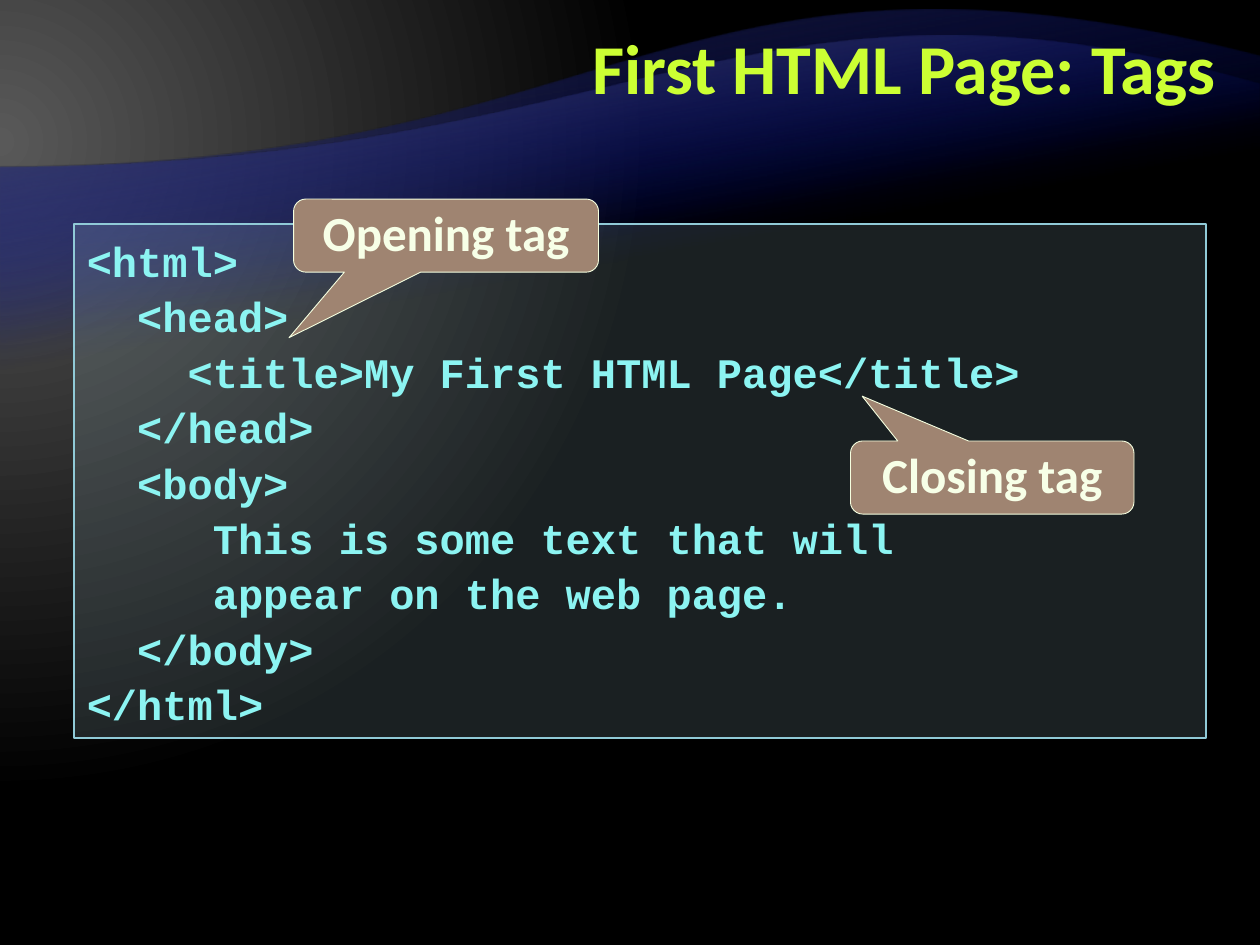
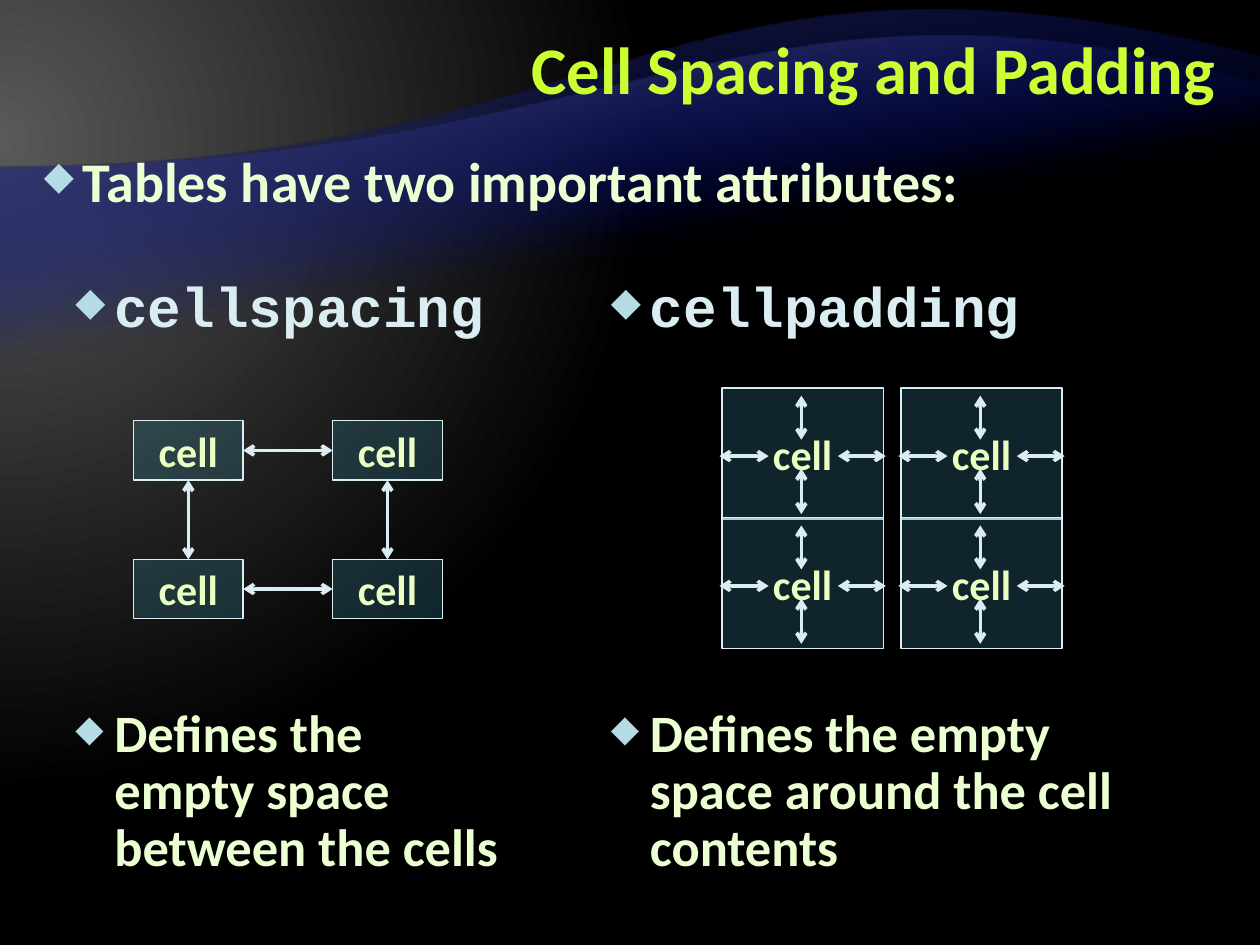
from dataclasses import dataclass

from lxml import etree
from pptx import Presentation
from pptx.dml.color import RGBColor
from pptx.enum.shapes import MSO_CONNECTOR, MSO_SHAPE
from pptx.enum.text import MSO_ANCHOR, MSO_AUTO_SIZE, PP_ALIGN
from pptx.oxml import parse_xml
from pptx.oxml.ns import nsdecls, qn
from pptx.util import Inches, Pt

RECTANGLE = MSO_SHAPE.RECTANGLE
CALLOUT = MSO_SHAPE.ROUNDED_RECTANGULAR_CALLOUT
STRAIGHT = MSO_CONNECTOR.STRAIGHT
TOP, MIDDLE = MSO_ANCHOR.TOP, MSO_ANCHOR.MIDDLE
LEFT, CENTER, RIGHT = PP_ALIGN.LEFT, PP_ALIGN.CENTER, PP_ALIGN.RIGHT
GROW = MSO_AUTO_SIZE.SHAPE_TO_FIT_TEXT


@dataclass(frozen=True)
class Theme:
    body_font: str = "Calibri"
    code_font: str = "Courier New"
    title: str = "CCFF33"
    body: str = "EBFFD2"
    code: str = "8CF4F2"
    code_fill: str = "B5DBE5"
    code_line: str = "90CAD7"
    callout_fill: str = "9F8471"
    callout_line: str = "F5FFE0"
    callout_text: str = "F7FFE7"
    bullet: str = "B5DBE5"
    pale: str = "DAEDF2"
    cell_fill: str = "337D8F"
    cell_text: str = "EBFFC2"
    glow: str = "595959"
    night: str = "000000"
    wave: str = "000D9E"
    wave_back: str = "262626"
    title_size: int = 40
    long_title_size: int = 38
    head_size: int = 32
    body_size: int = 30
    callout_size: int = 28
    small_size: int = 24


THEME = Theme()

WAVES = [
    {"bottom": 6.53, "curve": [(0, 1.33), (5, 1.33), (5.34, -0.75), (10, 0.45)],
     "edge": THEME.wave_back},
    {"bottom": 5.57, "curve": [(0, 1.33), (5, 1.33), (5.98, -0.49), (10, 0.67)],
     "edge": THEME.glow},
]
CURVE_STEPS = 60

CODE_LINES = [
    "<html>",
    "  <head>",
    "    <title>My First HTML Page</title>",
    "  </head>",
    "  <body>",
    "     This is some text that will",
    "     appear on the web page.",
    "  </body>",
    "</html>",
]
CALLOUTS = [
    ("Opening tag", (2.33, 1.58, 2.42, 0.58), (-0.515, 1.398, 0.167)),
    ("Closing tag", (6.75, 3.5, 2.25, 0.58), (-0.459, -1.115, 0.167)),
]

COLUMNS = [
    ("cellspacing", "Defines the empty space between the cells", (0.5, 2.17, 3.67, 5)),
    ("cellpadding", "Defines the empty space around the cell contents",
     (4.75, 2.17, 4.67, 4.83)),
]
DIAGRAM_GAP = 204
SPACING_GRID = {"left": 1.06, "top": 3.34, "width": 0.87, "height": 0.47,
                "step_x": 1.58, "step_y": 1.1}
PADDING_GRID = {"left": 5.73, "top": 3.08, "width": 1.28, "height": 1.04,
                "step_x": 1.42, "step_y": 1.03}
PADDING_INSETS = (0.39, 0.31)
PADDING_ARROWS = [
    (0.63, 0.64, 0.63, 1.0),
    (-0.02, 0.54, 0.37, 0.54),
    (0.92, 0.54, 1.3, 0.54),
    (0.63, 0.06, 0.63, 0.41),
]


def color(code):
    return RGBColor.from_string(code)


def inches(values):
    return [Inches(value) for value in values]


def set_gradient(owner, fill, stops, shading):
    fill.gradient()
    old = next(owner.element.iter(qn("a:gradFill")))
    marks = "".join(
        f'<a:gs pos="{place * 1000}"><a:srgbClr val="{code}">'
        f'<a:alpha val="{alpha * 1000}"/></a:srgbClr></a:gs>'
        for place, code, alpha in stops)
    old.getparent().replace(old, parse_xml(
        f'<a:gradFill {nsdecls("a")} rotWithShape="1"><a:gsLst>{marks}</a:gsLst>'
        f'{shading}</a:gradFill>'))


def add_bullet(para):
    properties = para._p.get_or_add_pPr()
    properties.set("marL", str(Inches(0.31)))
    properties.set("indent", str(-Inches(0.31)))
    tint = etree.SubElement(properties, qn("a:buClr"))
    etree.SubElement(tint, qn("a:srgbClr")).set("val", THEME.bullet)
    etree.SubElement(properties, qn("a:buSzPct")).set("val", "70000")
    etree.SubElement(properties, qn("a:buChar")).set("char", "◆")


def write_text(box, text, *, size, tint, font=THEME.body_font, align=LEFT,
               spacing=1.0, before=0, after=0, bullet=False):
    frame = box.text_frame
    para = frame.add_paragraph() if frame.text else frame.paragraphs[0]
    if bullet:
        add_bullet(para)
    para.alignment = align
    para.line_spacing = spacing
    para.space_before, para.space_after = Pt(before), Pt(after)
    span = para.add_run()
    span.text = text
    span.font.name, span.font.size, span.font.bold = font, Pt(size), True
    span.font.color.rgb = color(tint)


def add_text_box(page, place, anchor=TOP):
    box = page.shapes.add_textbox(*inches(place))
    box.text_frame.word_wrap = True
    box.text_frame.vertical_anchor = anchor
    return box


def add_panel(shapes, kind, place, fill, line, line_width, alpha=100, anchor=TOP):
    box = shapes.add_shape(kind, *inches(place))
    box.shadow.inherit = False
    box.fill.solid()
    box.fill.fore_color.rgb = color(fill)
    if alpha < 100:
        tint = next(box.element.iter(qn("a:srgbClr")))
        etree.SubElement(tint, qn("a:alpha")).set("val", str(alpha * 1000))
    box.line.color.rgb = color(line)
    box.line.width = Pt(line_width)
    box.text_frame.word_wrap = True
    box.text_frame.vertical_anchor = anchor
    return box


def add_arrow(shapes, ends):
    arrow = shapes.add_connector(STRAIGHT, *inches(ends))
    arrow.line.color.rgb = color(THEME.pale)
    arrow.line.width = Pt(2)
    outline = arrow.line._get_or_add_ln()
    for end in ("a:headEnd", "a:tailEnd"):
        etree.SubElement(outline, qn(end)).set("type", "arrow")
    etree.SubElement(arrow.element.spPr, qn("a:effectLst"))


def bezier(points, t):
    weights = ((1 - t) ** 3, 3 * t * (1 - t) ** 2, 3 * t * t * (1 - t), t ** 3)
    return tuple(sum(weight * point[axis] for weight, point in zip(weights, points))
                 for axis in (0, 1))


def add_wave(page, wave):
    crest = [bezier(wave["curve"], step / CURVE_STEPS) for step in range(CURVE_STEPS + 1)]
    outline = [(0, wave["bottom"]), *crest]
    builder = page.shapes.build_freeform(Inches(10), Inches(wave["bottom"]))
    builder.add_line_segments([inches(point) for point in outline], close=True)
    shape = builder.convert_to_shape()
    shape.shadow.inherit = False
    shape.line.fill.background()
    set_gradient(shape, shape.fill, [(65, THEME.wave, 0), (100, wave["edge"], 100)],
                 f'<a:lin ang="{260 * 60000}" scaled="0"/>')


def start_page(deck, title, size):
    page = deck.slides.add_slide(deck.slide_layouts[6])
    set_gradient(page, page.background.fill,
                 [(0, THEME.glow, 100), (83, THEME.night, 100)],
                 '<a:path path="circle"><a:fillToRect l="20000" t="30000" '
                 'r="135000" b="100000"/></a:path>')
    for wave in WAVES:
        add_wave(page, wave)
    box = add_text_box(page, (2, 0.08, 7.75, 1), MIDDLE)
    write_text(box, title, size=size, tint=THEME.title, align=RIGHT, spacing=Pt(40))
    return page


def build_tags_page(deck):
    page = start_page(deck, "First HTML Page: Tags", THEME.title_size)
    listing = add_panel(page.shapes, RECTANGLE, (0.59, 1.78, 8.98, 4.08),
                        THEME.code_fill, THEME.code_line, 1, alpha=15)
    listing.text_frame.auto_size = GROW
    for line in CODE_LINES:
        write_text(listing, line, size=THEME.small_size, tint=THEME.code,
                   font=THEME.code_font, spacing=1.1)
    for label, place, pointer in CALLOUTS:
        callout = add_panel(page.shapes, CALLOUT, place, THEME.callout_fill,
                            THEME.callout_line, 0.5)
        for index, value in enumerate(pointer):
            callout.adjustments[index] = value
        callout.text_frame.auto_size = GROW
        write_text(callout, label, size=THEME.callout_size, tint=THEME.callout_text,
                   align=CENTER, spacing=Pt(30))


def add_cells(shapes, grid, insets=(0.1, 0.05)):
    corners = [(grid["left"] + column * grid["step_x"], grid["top"] + row * grid["step_y"])
               for row in range(2) for column in range(2)]
    for left, top in corners:
        cell = add_panel(shapes, RECTANGLE, (left, top, grid["width"], grid["height"]),
                         THEME.cell_fill, THEME.pale, 0.75, alpha=30, anchor=MIDDLE)
        frame = cell.text_frame
        frame.word_wrap = False
        frame.margin_left = frame.margin_right = Inches(insets[0])
        frame.margin_top = frame.margin_bottom = Inches(insets[1])
        write_text(cell, "cell", size=THEME.small_size, tint=THEME.cell_text, align=CENTER)
    return corners


def add_spacing_diagram(page):
    shapes = page.shapes.add_group_shape().shapes
    grid = SPACING_GRID
    top_left, top_right, bottom_left, _ = add_cells(shapes, grid)
    for left, top in (top_left, bottom_left):
        middle = top + grid["height"] / 2
        add_arrow(shapes, (left + grid["width"], middle, left + grid["step_x"], middle))
    for left, top in (top_left, top_right):
        center = left + grid["width"] / 2
        add_arrow(shapes, (center, top + grid["height"], center, top + grid["step_y"]))


def add_padding_diagram(page):
    shapes = page.shapes.add_group_shape().shapes
    for left, top in add_cells(shapes, PADDING_GRID, PADDING_INSETS):
        for x1, y1, x2, y2 in PADDING_ARROWS:
            add_arrow(shapes, (left + x1, top + y1, left + x2, top + y2))


def build_cells_page(deck):
    page = start_page(deck, "Cell Spacing and Padding", THEME.long_title_size)
    bulleted = {"spacing": 0.9, "after": 6, "bullet": True}
    intro = add_text_box(page, (0.25, 1.17, 9.5, 0.58))
    write_text(intro, "Tables have two important attributes:", size=THEME.head_size,
               tint=THEME.body, **bulleted)
    for attribute, meaning, place in COLUMNS:
        box = add_text_box(page, place)
        write_text(box, attribute, size=THEME.head_size, tint=THEME.pale,
                   font=THEME.code_font, **bulleted)
        write_text(box, meaning, size=THEME.body_size, tint=THEME.body,
                   before=DIAGRAM_GAP, **bulleted)
    add_spacing_diagram(page)
    add_padding_diagram(page)


def main():
    deck = Presentation()
    deck.slide_width, deck.slide_height = Inches(10), Inches(7.5)
    build_tags_page(deck)
    build_cells_page(deck)
    deck.save("out.pptx")


if __name__ == "__main__":
    main()
